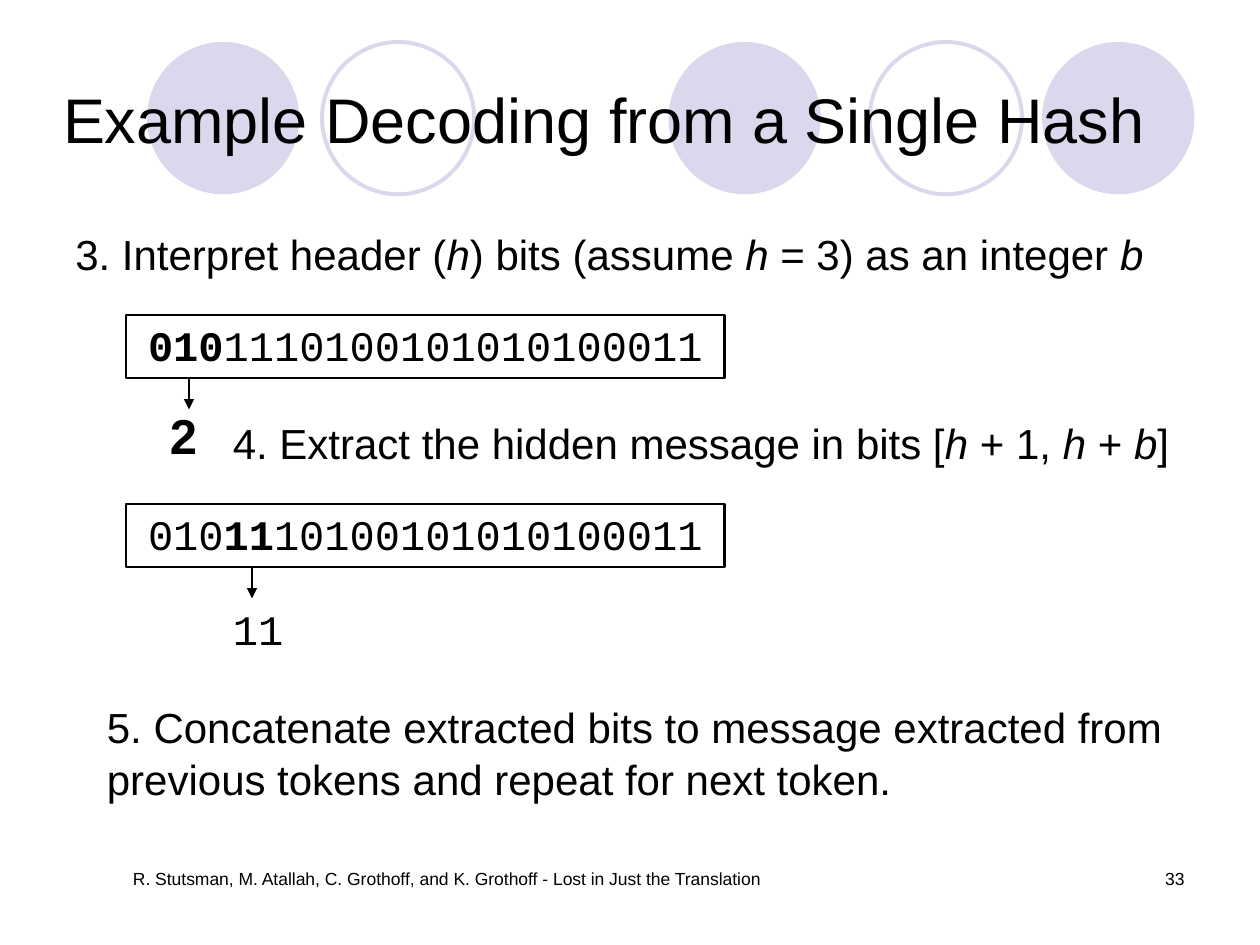
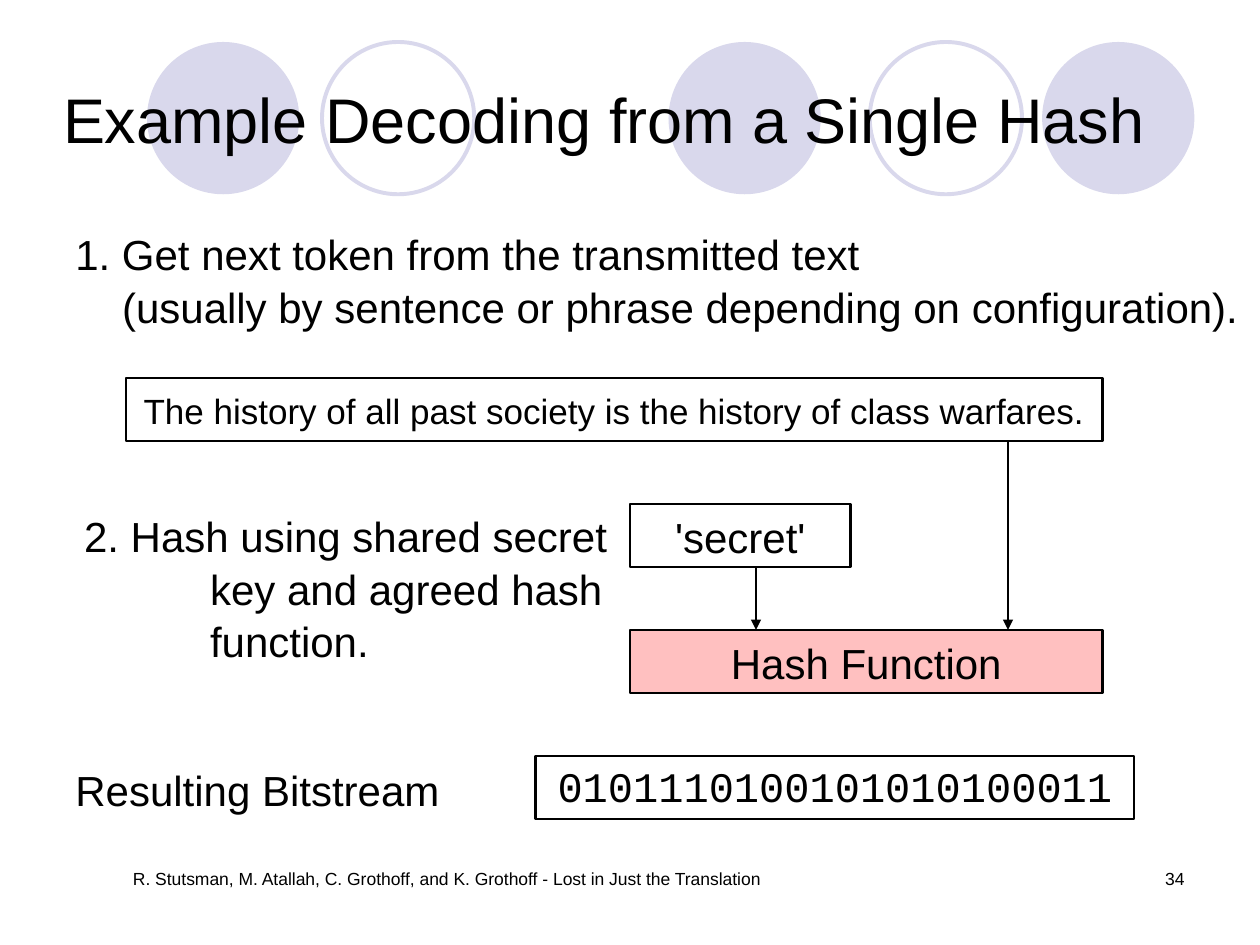
"""Build two slides that show how a hidden message is decoded from a hash."""
from lxml import etree
from pptx import Presentation
from pptx.dml.color import RGBColor
from pptx.enum import shapes, text
from pptx.oxml import ns
from pptx.util import Pt

BLACK = RGBColor(0x00, 0x00, 0x00)
LILAC = RGBColor(0xD9, 0xD8, 0xEC)
PINK = RGBColor(0xFF, 0xC0, 0xC0)
SANS, MONO = "Arial", "Courier New"
LEFT, MID, RIGHT = text.PP_ALIGN.LEFT, text.PP_ALIGN.CENTER, text.PP_ALIGN.RIGHT
RECT = shapes.MSO_SHAPE.RECTANGLE
ROUND = shapes.MSO_SHAPE.ROUNDED_RECTANGLE
OVAL = shapes.MSO_SHAPE.OVAL
TITLE = "Example Decoding from a Single Hash"
CREDIT = "R. Stutsman, M. Atallah, C. Grothoff, and K. Grothoff - Lost in Just the Translation"


def write(frame, words, size=24, font=SANS, align=LEFT, mark="italic", hang=0,
          anchor=text.MSO_ANCHOR.TOP, inset=(7.2, 3.6)):
    """Fill a frame; bars enclose marked runs and later lines are indented."""
    frame.word_wrap = True
    frame.auto_size = text.MSO_AUTO_SIZE.NONE
    frame.vertical_anchor = anchor
    frame.margin_left = frame.margin_right = Pt(inset[0])
    frame.margin_top = frame.margin_bottom = Pt(inset[1])
    for row, line in enumerate(words.split("\n")):
        para = frame.add_paragraph() if row else frame.paragraphs[0]
        para.alignment = align
        para.line_spacing = 0.98 if font == MONO else 1.04
        if row and hang:
            para._p.get_or_add_pPr().set("marL", str(Pt(hang)))
        for turn, part in enumerate(line.split("|")):
            if not part:
                continue
            run = para.add_run()
            run.text = part
            run.font.name, run.font.size = font, Pt(size)
            run.font.color.rgb = BLACK
            if turn % 2:
                setattr(run.font, mark, True)


def label(slide, words, x, y, wide, high, **form):
    """Add a plain text box."""
    box = slide.shapes.add_textbox(Pt(x), Pt(y), Pt(wide), Pt(high))
    write(box.text_frame, words, **form)


def shape(slide, kind, x, y, wide, high, fill=None, line=BLACK, width=1.45):
    """Add a preset shape with an optional fill and outline."""
    item = slide.shapes.add_shape(kind, Pt(x), Pt(y), Pt(wide), Pt(high))
    item.shadow.inherit = False
    if fill is None:
        item.fill.background()
    else:
        item.fill.solid()
        item.fill.fore_color.rgb = fill
    if line is None:
        item.line.fill.background()
    else:
        item.line.color.rgb = line
        item.line.width = Pt(width)
    return item


def panel(slide, words, x, y, wide, kind=ROUND, fill=None, **form):
    """Add an outlined box with centred text."""
    box = shape(slide, kind, x, y, wide, 36, fill=fill)
    if kind == ROUND:
        box.adjustments[0] = 0
    write(box.text_frame, words, align=MID, anchor=text.MSO_ANCHOR.MIDDLE, **form)


def stream(slide, bits, x, y):
    """Add a box that holds a bit stream."""
    panel(slide, bits, x, y, 342, kind=RECT, font=MONO, mark="bold")


def arrow(slide, x, top, end):
    """Add a downward arrow."""
    link = slide.shapes.add_connector(
        shapes.MSO_CONNECTOR.STRAIGHT, Pt(x), Pt(top), Pt(x), Pt(end))
    link.line.color.rgb = BLACK
    link.line.width = Pt(1.45)
    head = etree.SubElement(link.line._get_or_add_ln(), ns.qn("a:tailEnd"))
    head.set("type", "triangle")
    etree.SubElement(link._element.spPr, ns.qn("a:effectLst"))


def band(slide):
    """Place the row of circles on the layout, behind its placeholders."""
    tree = slide.slide_layout.shapes.element
    for x, full in ((84, 1), (184, 0), (382, 1), (497, 0), (595.5, 1)):
        ring = shape(slide, OVAL, x, 24, 87, 87, fill=LILAC if full else None,
                     line=None if full else LILAC, width=2.25)
        tree.insert(2, ring.element)


def start(deck, number):
    """Add a slide with its title and footer."""
    slide = deck.slides.add_slide(deck.slide_layouts[5])
    title = slide.shapes.title
    title.left, title.top, title.width, title.height = Pt(36), Pt(21.6), Pt(648), Pt(90)
    write(title.text_frame, TITLE, size=36, anchor=text.MSO_ANCHOR.MIDDLE, inset=(0, 0))
    label(slide, CREDIT, 36.7, 492, 437, 36, size=10, align=MID)
    label(slide, str(number), 516, 492, 168, 36, size=10, align=RIGHT)
    return slide


def extract(slide):
    """Show how header bits lead to the message bits."""
    label(slide, "3. Interpret header (|h|) bits (assume |h| = 3) as an integer |b|",
          36, 126, 648, 37)
    stream(slide, "|010|1110100101010100011", 72, 180)
    arrow(slide, 108, 216, 234)
    label(slide, "|2|", 90, 227, 36, 42, size=28, mark="bold")
    label(slide, "4. Extract the hidden message in bits [|h| + 1, |h |+ |b|]",
          126, 234, 576, 37)
    stream(slide, "010|11|10100101010100011", 72, 288)
    arrow(slide, 144, 324, 342)
    label(slide, "11", 126, 342.7, 54, 35, font=MONO)
    label(slide, "5. Concatenate extracted bits to message extracted from "
          "previous tokens and repeat for next token.", 54, 396, 630, 67)


def digest(slide):
    """Show how a token and a key are hashed to a bit stream."""
    label(slide, "1. Get next token from the transmitted text\n"
          "(usually by sentence or phrase depending on configuration).",
          36, 126, 684, 67, hang=26.7)
    panel(slide, "The history of all past society is the history of class warfares.",
          72, 216, 558, size=20)
    arrow(slide, 576, 252, 360)
    label(slide, "2. Hash using shared secret\nkey and agreed hash\nfunction.",
          41, 287.3, 318, 97, hang=72)
    panel(slide, "'secret'", 360, 288, 126)
    panel(slide, "Hash Function", 360, 360, 270, fill=PINK)
    arrow(slide, 432, 324, 360)
    label(slide, "Resulting Bitstream", 36, 432, 252, 37)
    stream(slide, "0101110100101010100011", 306, 432)


def main():
    """Build and save the deck."""
    deck = Presentation()
    deck.slide_width, deck.slide_height = Pt(720), Pt(540)
    first = start(deck, 33)
    band(first)
    extract(first)
    digest(start(deck, 34))
    deck.save("out.pptx")


if __name__ == "__main__":
    main()
